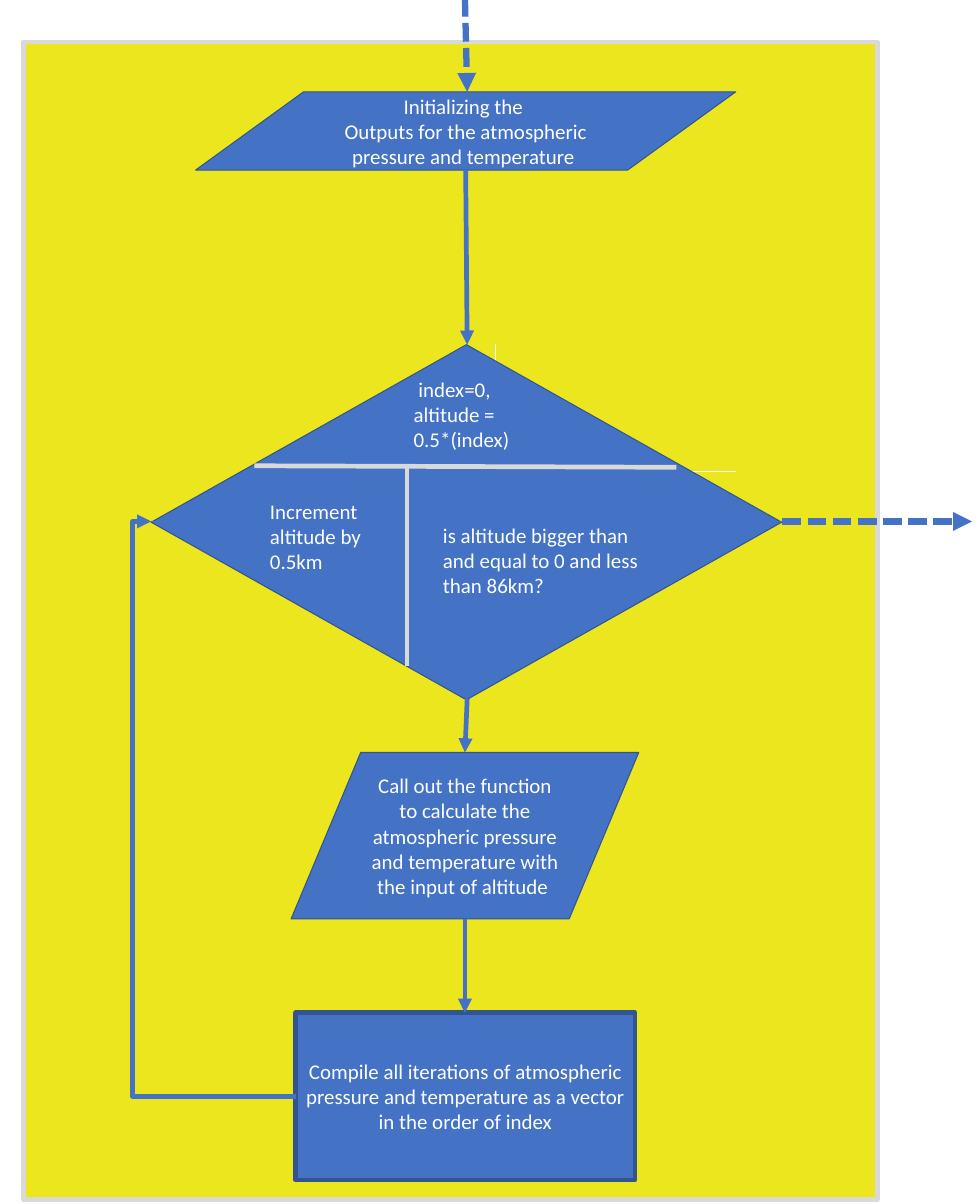
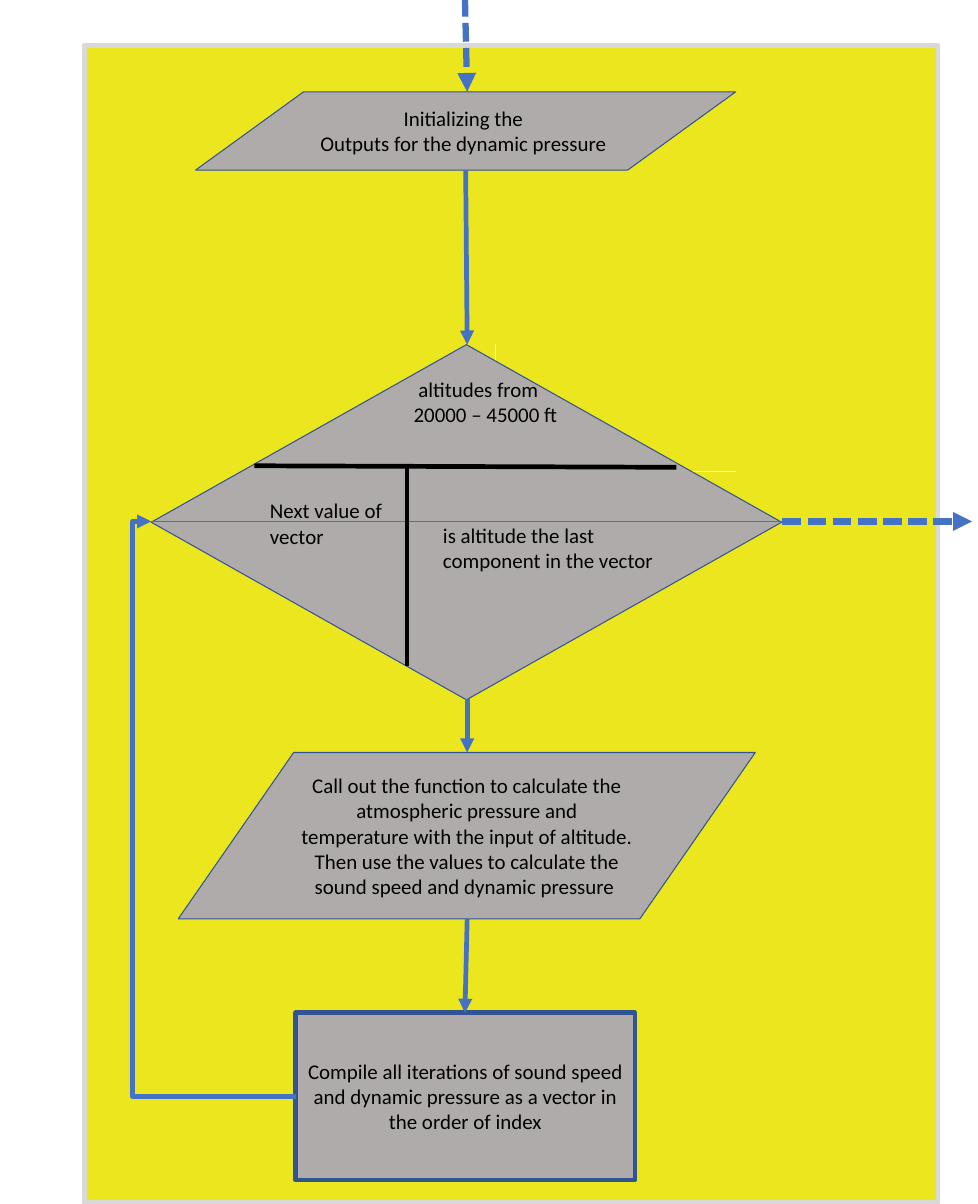
from pptx import Presentation
from pptx.dml.color import RGBColor
from pptx.enum.dml import MSO_LINE_DASH_STYLE as Dash
from pptx.enum.shapes import MSO_CONNECTOR as Conn, MSO_SHAPE as Shape
from pptx.enum.text import MSO_ANCHOR as Anchor, MSO_AUTO_SIZE as AutoSize, PP_ALIGN as Align
from pptx.oxml.ns import qn
from pptx.util import Inches, Pt
from lxml.etree import SubElement

COLORS = {"panel": "EBE61D", "frame": "D9D9D9", "blue": "4472C4", "edge": "325491",
          "gray": "AFABAB", "white": "FFFFFF", "black": "000000"}
FONT, TEXT_SIZE = "Calibri", 20
THIN, OUTLINE, THICK, DASHED = 0.5, 1, 4.5, 6

# Grid of 13 columns by 16 rows
COLS, ROWS = 13, 16
WIDTH, HEIGHT = Inches(13), Inches(16)

# Rules of the flow
DECISION = (2.01, 4.58, 8.38, 4.72)
LEFT, TOP, RIGHT, BOTTOM = 2.01, 4.58, 10.4, 9.29
MIDDLE = 6.93
AXIS, AXIS_LEFT = 6.21, 6.18
INIT_TOP, INIT_BOTTOM = 1.22, 2.26
CALL_TOP, CALL_HEIGHT = 10, 2.21
COMPILE = (3.93, 13.46, 4.51, 2.22)
LOOP_BEND = 1.13

FLOWS = [
    dict(panel=(0.31, 0.56), fill="blue", text="white", divider="frame",
         init=["Initializing the ", "Outputs for the atmospheric pressure and temperature "],
         start=" index=0, altitude = 0.5*(index)",
         test="is altitude bigger than and equal to 0 and less than 86km?",
         step="Increment altitude by 0.5km", note_height=1.11,
         call="Call out the function to calculate the atmospheric pressure and "
              "temperature with the input of altitude ",
         call_span=(3.87, 4.62), call_axis=AXIS_LEFT,
         result="Compile all iterations of atmospheric pressure and temperature "
                "as a vector in the order of index"),
    dict(panel=(1.12, 0.6), fill="gray", text="black", divider="black",
         init=["Initializing the ", "Outputs for the dynamic pressure "],
         start=" altitudes from 20000 – 45000 ft",
         test="is altitude the last component in the vector",
         step="Next value of vector", note_height=0.77,
         call="Call out the function to calculate the atmospheric pressure and "
              "temperature with the input of altitude. Then use the values to "
              "calculate the sound speed and dynamic pressure ",
         call_span=(2.37, 7.67), call_axis=AXIS,
         result="Compile all iterations of sound speed and dynamic pressure "
                "as a vector in the order of index"),
]


def x(cols):
    return int(WIDTH * cols / COLS)


def y(rows):
    return int(HEIGHT * rows / ROWS)


def place(box):
    left, top, width, height = box
    return x(left), y(top), x(width), y(height)


def rgb(name):
    return RGBColor.from_string(COLORS[name])


def write(tf, paragraphs, color, align):
    tf.word_wrap = True
    for i, text in enumerate(paragraphs):
        p = tf.paragraphs[0] if i == 0 else tf.add_paragraph()
        p.alignment = align
        r = p.add_run()
        r.text = text
        r.font.name, r.font.size = FONT, Pt(TEXT_SIZE)
        r.font.color.rgb = rgb(color)


def add_block(s, kind, box, fill, edge="edge", weight=OUTLINE, paragraphs=(), color="white"):
    sp = s.shapes.add_shape(kind, *place(box))
    sp.shadow.inherit = False
    sp.fill.solid()
    sp.fill.fore_color.rgb = rgb(fill)
    sp.line.color.rgb = rgb(edge)
    sp.line.width = Pt(weight)
    sp.text_frame.vertical_anchor = Anchor.MIDDLE
    write(sp.text_frame, paragraphs, color, Align.CENTER)


def add_note(s, box, text, color):
    tf = s.shapes.add_textbox(*place(box)).text_frame
    tf.auto_size = AutoSize.SHAPE_TO_FIT_TEXT
    write(tf, [text], color, Align.LEFT)


def add_line(s, start, end, color="blue", weight=THICK, kind=Conn.STRAIGHT):
    line = s.shapes.add_connector(kind, x(start[0]), y(start[1]), x(end[0]), y(end[1]))
    line.line.color.rgb = rgb(color)
    line.line.width = Pt(weight)
    SubElement(line._element.spPr, qn("a:effectLst"))
    return line


def add_arrow(s, start, end, dashed=False, kind=Conn.STRAIGHT):
    arrow = add_line(s, start, end, weight=DASHED if dashed else THICK, kind=kind)
    if dashed:
        arrow.line.dash_style = Dash.SQUARE_DOT
    SubElement(arrow.line._get_or_add_ln(), qn("a:tailEnd"), type="triangle")
    return arrow


def add_loop(s, start, end, bend):
    """Elbow arrow that leaves and enters on the left side."""
    arrow = add_arrow(s, start, end, kind=Conn.ELBOW)
    guides = arrow._element.spPr.find(qn("a:prstGeom")).get_or_add_avLst()
    SubElement(guides, qn("a:gd"), name="adj1", fmla=f"val {round(bend * 100000)}")


def add_flow(s, flow):
    fill, color = flow["fill"], flow["text"]

    # Panel and first step
    add_block(s, Shape.FLOWCHART_PROCESS, (*flow["panel"], 11.35, 15.38),
              "panel", "frame", THICK)
    add_block(s, Shape.FLOWCHART_DATA, (2.6, INIT_TOP, 7.18, INIT_BOTTOM - INIT_TOP),
              fill, paragraphs=flow["init"], color=color)

    # Decision with its three compartments
    add_line(s, (3.38, 6.26), (9.78, 6.26), "white", THIN)
    add_line(s, (6.58, 4.57), (6.58, 6.31), "white", THIN)
    add_block(s, Shape.FLOWCHART_DECISION, DECISION, fill)
    add_line(s, (LEFT, MIDDLE), (RIGHT, MIDDLE), weight=THIN)
    add_line(s, (3.38, 6.19), (8.99, 6.21), flow["divider"])
    add_line(s, (5.41, 6.19), (5.41, 8.85), flow["divider"])
    for part, left, top, width in (("start", 5.4, 4.95, 2.13),
                                   ("test", 5.79, 6.89, 3.04),
                                   ("step", 3.49, 6.57, 1.92)):
        add_note(s, (left, top, width, flow["note_height"]), flow[part], color)

    # Function call and result
    call_left, call_width = flow["call_span"]
    add_block(s, Shape.FLOWCHART_DATA, (call_left, CALL_TOP, call_width, CALL_HEIGHT),
              fill, paragraphs=[flow["call"]], color=color)
    add_block(s, Shape.FLOWCHART_PROCESS, COMPILE, fill, weight=THICK,
              paragraphs=[flow["result"]], color=color)

    # Arrows between the steps
    left, top, _, height = COMPILE
    axis = flow["call_axis"]
    add_loop(s, (left, top + height / 2), (LEFT, MIDDLE), LOOP_BEND)
    add_arrow(s, (AXIS, BOTTOM), (axis, CALL_TOP))
    add_arrow(s, (axis, CALL_TOP + CALL_HEIGHT), (AXIS_LEFT, top))
    add_arrow(s, (RIGHT, MIDDLE), (12.92, MIDDLE), dashed=True)
    add_arrow(s, (AXIS_LEFT, -0.03), (AXIS, INIT_TOP), dashed=True)
    add_arrow(s, (6.19, INIT_BOTTOM), (AXIS, TOP))


def main():
    prs = Presentation()
    prs.slide_width, prs.slide_height = WIDTH, HEIGHT
    blank = prs.slide_layouts[6]
    for flow in FLOWS:
        add_flow(prs.slides.add_slide(blank), flow)
    prs.save("out.pptx")


main()
